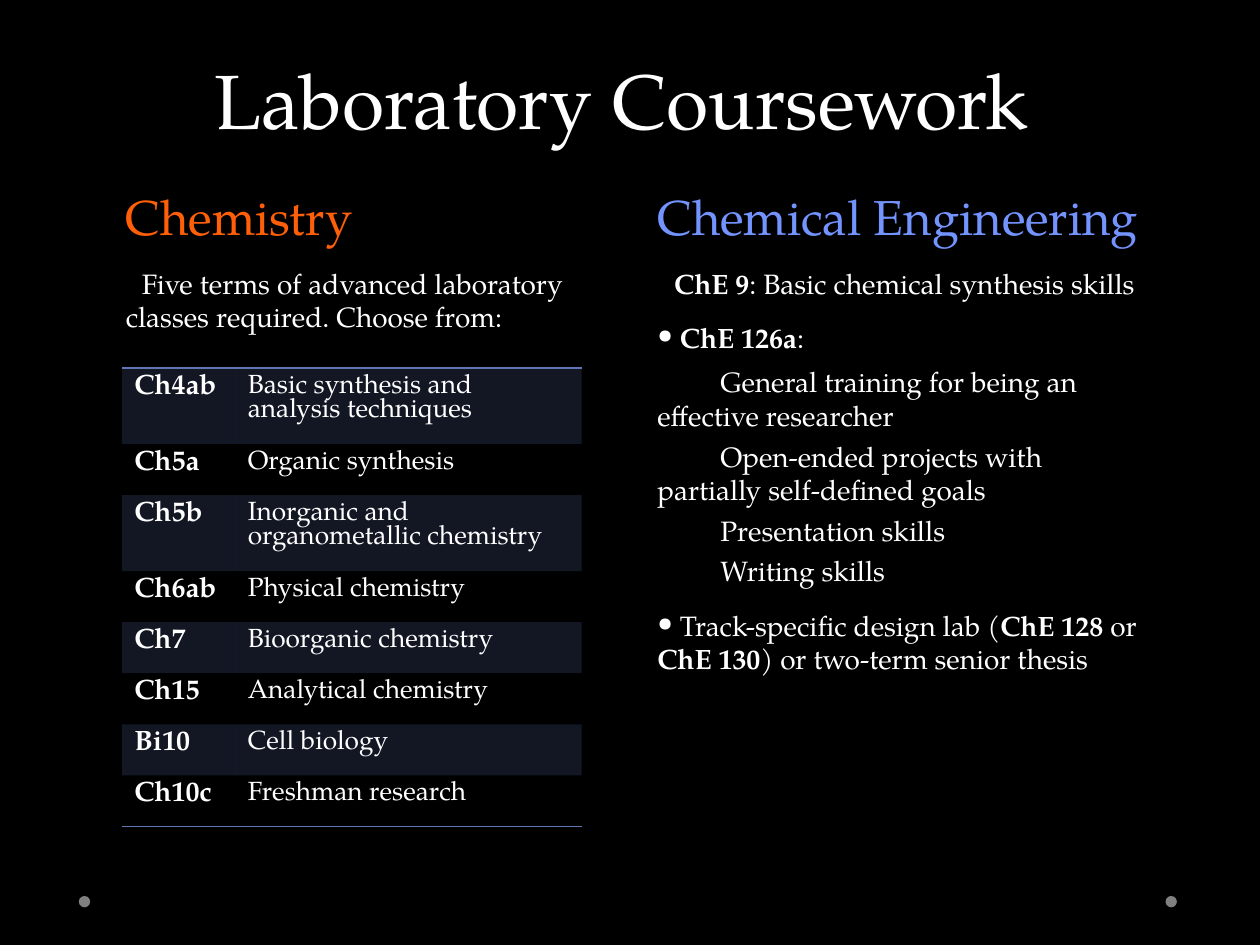
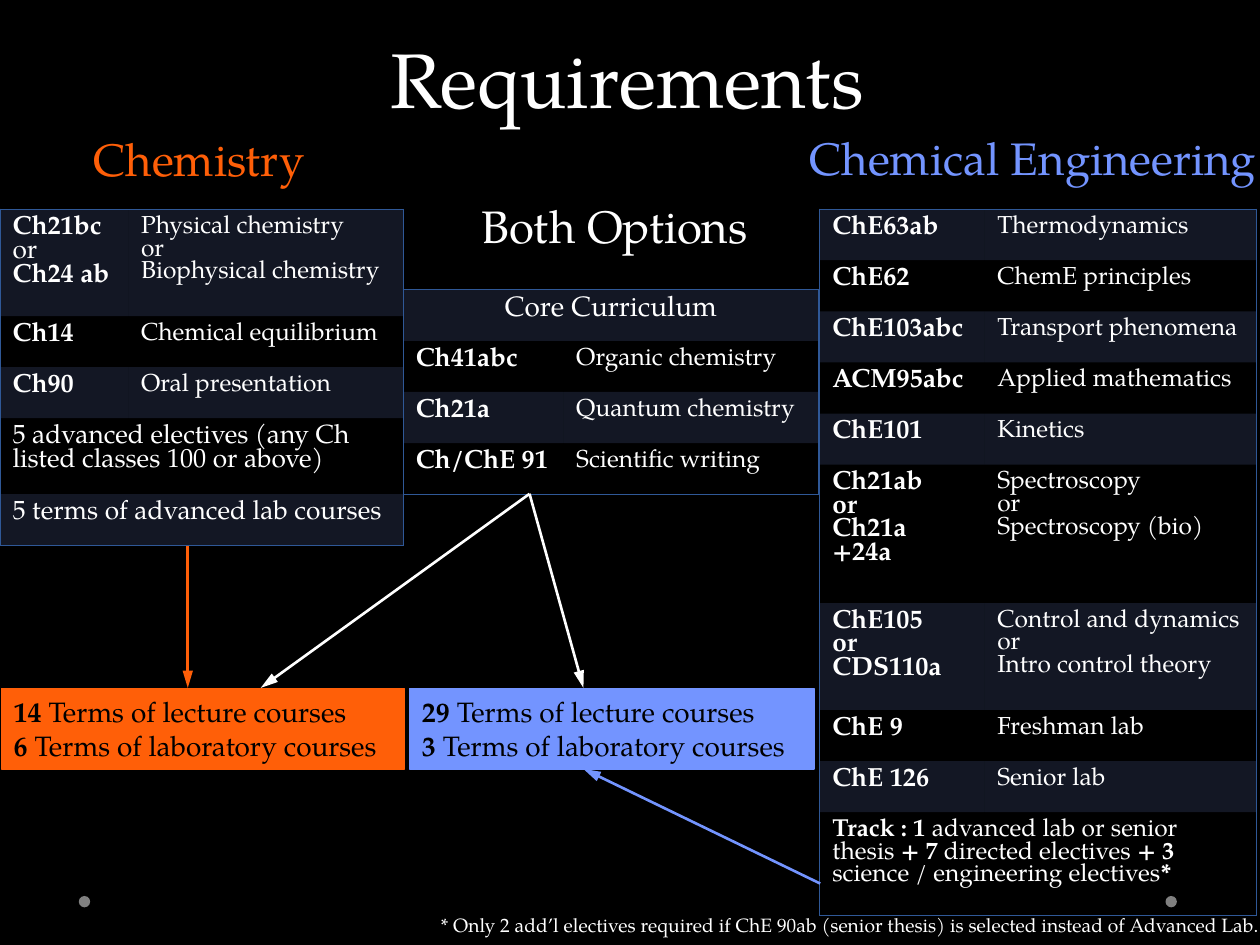
"""Build two slides on chemistry and chemical engineering coursework."""
import pptx
import pptx.dml.color
import pptx.enum.shapes
import pptx.enum.text
import pptx.oxml
import pptx.oxml.ns
import pptx.util
from lxml import etree

Pt = pptx.util.Pt
RGBColor = pptx.dml.color.RGBColor
SHAPES = pptx.enum.shapes
ALIGN = pptx.enum.text.PP_ALIGN
TOP = pptx.enum.text.MSO_ANCHOR.TOP
qn = pptx.oxml.ns.qn

BLACK = RGBColor(0x00, 0x00, 0x00)
WHITE = RGBColor(0xFF, 0xFF, 0xFF)
GREY = RGBColor(0x80, 0x80, 0x80)
ORANGE = RGBColor(0xFF, 0x5F, 0x08)
BLUE = RGBColor(0x73, 0x94, 0xFF)
BAND = RGBColor(0x60, 0x76, 0xB4)
NAVY = RGBColor(0x2F, 0x58, 0x97)

FONT = "TeX Gyre Pagella"
PLAIN_TABLE = "{2D5ABB26-0587-4C30-8999-92F81FD0307C}"
ROW, TWO_LINES, THREE_LINES = 29.2, 43.4, 61.1
DOTS = [(666, 512), (45, 512)]

# Text between bars is bold; a new line starts a paragraph.
# Column paragraphs: text, space after, first-line indent, bullet.
LAB_TITLE = ("Laboratory Coursework", (115.2, 26.6, 489.6, 60.5))
LAB_COLUMNS = [
    ("Chemistry", ORANGE, (64.8, 103, 297.4, 133), [
        ("Five terms of advanced laboratory classes required. Choose from:",
         0, 9.2, False),
    ]),
    ("Chemical Engineering", BLUE, (368.6, 103, 290.2, 289.4), [
        ("|ChE 9|: Basic chemical synthesis skills", 12, 9.6, False),
        ("| ChE 126a|:", 6, 0, True),
        ("General training for being an effective researcher", 4, 36, False),
        ("Open-ended projects with partially self-defined goals",
         4, 36, False),
        ("Presentation skills", 4, 36, False),
        ("Writing skills", 12, 36, False),
        (" Track-specific design lab (|ChE 128 |or |ChE 130|) "
         "or two-term senior thesis", 6, 0, True),
    ]),
]

# Table rows: height, then one text per column (a single text spans all).
LAB_ROWS = [
    (TWO_LINES, "|Ch4ab|", "Basic synthesis and analysis techniques"),
    (ROW, "|Ch5a|", "Organic synthesis"),
    (TWO_LINES, "|Ch5b|", "Inorganic and organometallic chemistry"),
    (ROW, "|Ch6ab|", "Physical chemistry"),
    (ROW, "|Ch7|", "Bioorganic chemistry"),
    (ROW, "|Ch15|", "Analytical chemistry"),
    (ROW, "|Bi10|", "Cell biology"),
    (ROW, "|Ch10c|", "Freshman research"),
]

REQUIREMENTS_TITLE = ("Requirements", (216, 14.4, 287.3, 60.5))
HEADINGS = [
    ("Chemistry", ORANGE, (11.2, 71.3, 205.2, 38.9), ALIGN.CENTER),
    ("Chemical Engineering", BLUE, (455.4, 70.6, 306, 38.9), ALIGN.LEFT),
    ("Both Options ", WHITE, (261.4, 109.4, 186.5, 38.9), ALIGN.CENTER),
]
FOOTNOTE = ("* Only 2 add\u2019l electives required if ChE 90ab (senior "
            "thesis) is selected instead of Advanced Lab.")
TOTALS = [
    ("|29 |Terms of lecture courses\n|3| Terms of laboratory courses",
     BLUE, (234, 393.4, 231.1, 46.1)),
    ("|14 |Terms of lecture courses\n|6 |Terms of laboratory courses",
     ORANGE, (0.7, 393.4, 230.4, 46.1)),
]
CHEMISTRY_ROWS = [
    (THREE_LINES, "|Ch21bc| or\n|Ch24 ab|",
     "Physical chemistry\nor\nBiophysical chemistry"),
    (ROW, "|Ch14|", "Chemical equilibrium"),
    (ROW, "|Ch90|", "Oral presentation"),
    (TWO_LINES, "5 advanced electives (any Ch listed classes 100 or above)"),
    (ROW, "5 terms of advanced lab courses"),
]
SHARED_ROWS = [
    (ROW, "Core Curriculum"),
    (ROW, "|Ch41abc|", "Organic chemistry"),
    (ROW, "|Ch21a|", "Quantum chemistry"),
    (ROW, "|Ch/ChE 91|", "Scientific writing"),
]
ENGINEERING_ROWS = [
    (ROW, "|ChE63ab|", "Thermodynamics"),
    (ROW, "|ChE62|", "ChemE principles"),
    (ROW, "|ChE103abc|", "Transport phenomena"),
    (ROW, "|ACM95abc|", "Applied mathematics"),
    (ROW, "|ChE101|", "Kinetics"),
    (79.1, "|Ch21ab|\n|or|\n|Ch21a +24a|",
     "Spectroscopy\nor\nSpectroscopy (bio)"),
    (THREE_LINES, "|ChE105|\n|or|\n|CDS110a|",
     "Control and dynamics\nor\nIntro control theory"),
    (ROW, "|ChE 9|", "Freshman lab"),
    (ROW, "|ChE 126|", "Senior lab"),
    (58.9, "|Track : 1| advanced lab or senior thesis |+ 7| directed "
     "electives |+ 3 |science / engineering electives|*|"),
]
ARROWS = [
    (ORANGE, (107.3, 311.8), (107.3, 393.1)),
    (BLUE, (468.7, 504.9), (333.4, 439.4)),
    (WHITE, (302.6, 282.2), (333.4, 393.1)),
    (WHITE, (302.6, 282.2), (149, 393.1)),
]


def set_values(target, values):
    """Set every attribute in a dict of format values."""
    for key, value in values.items():
        setattr(target, key, value)


def box_points(box):
    """Turn left, top, width, height into lengths."""
    return [Pt(value) for value in box]


def write_paragraph(paragraph, text, size, color, **layout):
    """Write runs into a paragraph, with bold between bars."""
    set_values(paragraph, layout)
    for index, part in enumerate(text.split("|")):
        if part:
            run = paragraph.add_run()
            run.text = part
            set_values(run.font, {"name": FONT, "size": Pt(size),
                                  "bold": index % 2 == 1})
            run.font.color.rgb = color


def write_text(frame, text, size, color, **layout):
    """Fill a text frame, one paragraph for each line."""
    set_values(frame, {"word_wrap": True, "vertical_anchor": TOP})
    for index, line in enumerate(text.split("\n")):
        paragraph = frame.add_paragraph() if index else frame.paragraphs[0]
        write_paragraph(paragraph, line, size, color, **layout)


def add_text(slide, box, text, size, color, **layout):
    """Add a text box and return its frame."""
    frame = slide.shapes.add_textbox(*box_points(box)).text_frame
    write_text(frame, text, size, color, **layout)
    return frame


def add_flat_shape(slide, kind, box, color):
    """Add a flat shape in a single colour."""
    shape = slide.shapes.add_shape(kind, *box_points(box))
    shape.shadow.inherit = False
    shape.fill.solid()
    shape.fill.fore_color.rgb = color
    shape.line.color.rgb = color
    shape.line.width = Pt(0.75)
    return shape


def start_slide(deck, title, box):
    """Add a slide with the footer dots and its title."""
    slide = deck.slides.add_slide(deck.slide_layouts[5])
    for left, top in DOTS:
        dot = add_flat_shape(slide, SHAPES.MSO_SHAPE.OVAL,
                             (left, top, 6.5, 6.5), GREY)
        dot.line.fill.background()
    heading = slide.shapes.title
    set_values(heading, dict(zip(("left", "top", "width", "height"),
                                 box_points(box))))
    heading.text_frame.auto_size = pptx.enum.text.MSO_AUTO_SIZE.NONE
    write_text(heading.text_frame, title, 44, WHITE, alignment=ALIGN.LEFT)
    return slide


def add_column(slide, heading, color, box, paragraphs):
    """Add a heading with its course notes below."""
    frame = add_text(slide, box, heading, 28, color, space_after=Pt(12))
    for text, after, indent, bullet in paragraphs:
        paragraph = frame.add_paragraph()
        write_paragraph(paragraph, text, 16, WHITE, space_after=Pt(after))
        properties = paragraph._p.get_or_add_pPr()
        properties.set("marL", "0")
        properties.set("indent", str(Pt(indent)))
        if bullet:
            etree.SubElement(properties, qn("a:buFont")).set("typeface", FONT)
            etree.SubElement(properties, qn("a:buChar")).set("char", "\u2022")


def add_borders(cell, sides, color, width):
    """Draw the named sides of a cell."""
    properties = cell._tc.get_or_add_tcPr()
    for index, side in enumerate(s for s in "LRTB" if s in sides):
        line = etree.Element(qn("a:ln" + side), w=str(Pt(width)))
        fill = etree.SubElement(line, qn("a:solidFill"))
        etree.SubElement(fill, qn("a:srgbClr")).set("val", str(color))
        properties.insert(index, line)


def add_courses(slide, left, top, widths, rows, sizes,
                edges="LRTB", border=(NAVY, 0.75)):
    """Add a banded course table with an outer frame; return the table."""
    frame = slide.shapes.add_table(
        len(rows), len(widths),
        *box_points((left, top, sum(widths), sum(row[0] for row in rows))))
    table = frame.table
    set_values(table, {"first_row": False, "horz_banding": False})
    table._tbl.tblPr.find(qn("a:tableStyleId")).text = PLAIN_TABLE
    for column, width in zip(table.columns, widths):
        column.width = Pt(width)
    last_row, last_column = len(rows) - 1, len(widths) - 1
    for r, (height, *texts) in enumerate(rows):
        table.rows[r].height = Pt(height)
        spans = len(texts) == 1
        if spans:
            table.cell(r, 0).merge(table.cell(r, last_column))
        for c in range(len(widths)):
            cell = table.cell(r, c)
            if r % 2:
                cell.fill.background()
            else:
                cell.fill.solid()
                cell.fill.fore_color.rgb = BAND
                shade = cell._tc.tcPr.find(".//" + qn("a:srgbClr"))
                etree.SubElement(shade, qn("a:alpha")).set("val", "20000")
            touching = {"L": c == 0, "R": c == last_column or spans,
                        "T": r == 0, "B": r == last_row}
            add_borders(cell, [s for s in edges if touching[s]], *border)
            if c < len(texts):
                write_text(cell.text_frame, texts[c], sizes[c], WHITE,
                           line_spacing=0.92)
    return table


def add_arrow(slide, color, start, end):
    """Add a straight arrow pointing at its end."""
    arrow = slide.shapes.add_connector(
        SHAPES.MSO_CONNECTOR.STRAIGHT, *box_points(start + end))
    arrow.line.color.rgb = color
    arrow.line.width = Pt(1.5)
    etree.SubElement(arrow.line._get_or_add_ln(), qn("a:tailEnd"),
                     type="triangle", w="med", len="lg")
    etree.SubElement(arrow._element.spPr, qn("a:effectLst"))


def build_laboratory(deck):
    """Build the laboratory coursework slide."""
    slide = start_slide(deck, *LAB_TITLE)
    for column in LAB_COLUMNS:
        add_column(slide, *column)
    add_courses(slide, 69.6, 210.3, (64.8, 198), LAB_ROWS, (16, 15),
                "TB", (BAND, 1))


def build_requirements(deck):
    """Build the slide that compares the requirements."""
    slide = start_slide(deck, *REQUIREMENTS_TITLE)
    for text, color, box, align in HEADINGS:
        add_text(slide, box, text, 26, color, alignment=align)
    add_text(slide, (244.8, 518.4, 488.9, 20.9), FOOTNOTE, 11, WHITE)
    for text, color, box in TOTALS:
        total = add_flat_shape(slide, SHAPES.MSO_SHAPE.RECTANGLE, box, color)
        write_text(total.text_frame, text, 16, BLACK, alignment=ALIGN.LEFT)
    add_courses(slide, 0, 119.5, (73.4, 157), CHEMISTRY_ROWS, (15, 14))
    shared = add_courses(slide, 230.4, 165.6, (91.7, 145.8), SHARED_ROWS,
                         (15, 14))
    core = shared.cell(0, 0).text_frame.paragraphs[0]
    core.alignment = ALIGN.CENTER
    core.runs[0].font.size = Pt(16)
    engineering = add_courses(slide, 468.4, 119.5, (94.3, 155.5),
                              ENGINEERING_ROWS, (15, 14))
    for run in engineering.cell(9, 0).text_frame.paragraphs[0].runs:
        run.font.size = Pt(14)
    for arrow in ARROWS:
        add_arrow(slide, *arrow)


deck = pptx.Presentation()
set_values(deck, {"slide_width": Pt(720), "slide_height": Pt(540)})
deck.slide_master.background.fill.solid()
deck.slide_master.background.fill.fore_color.rgb = BLACK
build_laboratory(deck)
build_requirements(deck)
deck.save("out.pptx")
